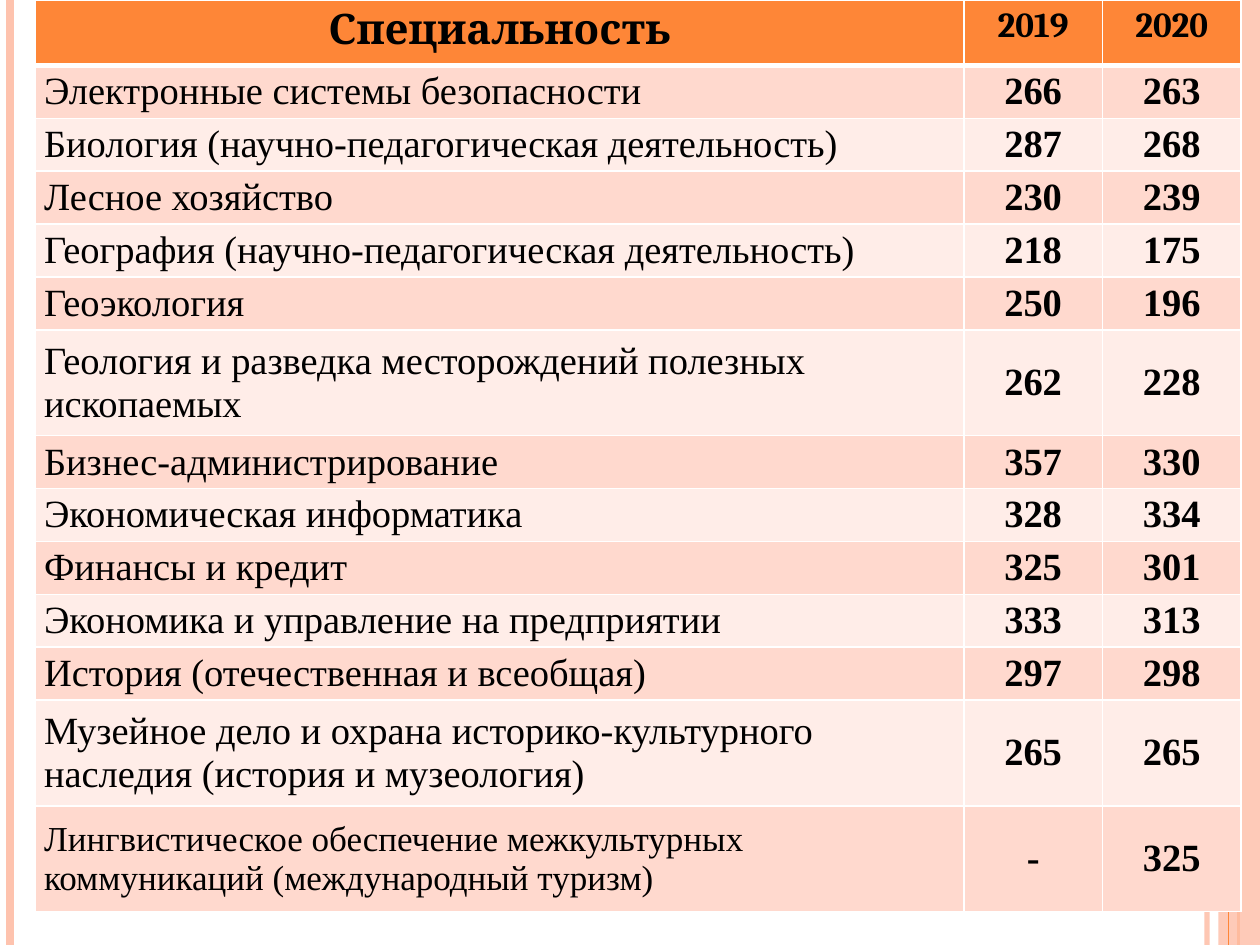
import pptx
import pptx.util
import pptx.dml.color
import pptx.enum.shapes
import pptx.enum.text
from lxml import etree

Inches, Pt = pptx.util.Inches, pptx.util.Pt
RGB = pptx.dml.color.RGBColor
ALIGN = pptx.enum.text.PP_ALIGN
ANCHOR = pptx.enum.text.MSO_ANCHOR

BLACK = RGB(0x00, 0x00, 0x00)
WHITE = RGB(0xFF, 0xFF, 0xFF)
ORANGE = RGB(0xFE, 0x86, 0x37)
PEACH = RGB(0xFE, 0xC3, 0xAE)
BANDS = (RGB(0xFF, 0xD9, 0xCE), RGB(0xFF, 0xED, 0xE8))

HEAD = (("Специальность", 24), ("2019", 20), ("2020", 20))
# name, 2019, 2020, lines of text, size of the name
ROWS = (
    ("Электронные системы безопасности", "266", "263", 1, 22),
    ("Биология (научно-педагогическая деятельность)", "287", "268", 1, 22),
    ("Лесное хозяйство", "230", "239", 1, 22),
    ("География (научно-педагогическая деятельность)", "218", "175", 1, 22),
    ("Геоэкология", "250", "196", 1, 22),
    ("Геология и разведка месторождений полезных ископаемых",
     "262", "228", 2, 22),
    ("Бизнес-администрирование", "357", "330", 1, 22),
    ("Экономическая информатика", "328", "334", 1, 22),
    ("Финансы и кредит", "325", "301", 1, 22),
    ("Экономика и управление на предприятии", "333", "313", 1, 22),
    ("История (отечественная и всеобщая)", "297", "298", 1, 22),
    ("Музейное дело и охрана историко-культурного наследия "
     "(история и музеология)", "265", "265", 2, 22),
    ("Лингвистическое обеспечение межкультурных коммуникаций "
     "(международный туризм)", "-", "325", 2, 20),
)
COLS = (7.37, 1.1, 1.1)
TOP, STEP = 0.52, 0.42
# x, colour, width, opacity in percent
BACK = ((9.58, PEACH, 3, 93), (0.08, PEACH, 4.5, 100), (9.83, ORANGE, 1.5, 100))
FRONT = ((9.75, ORANGE, 0.75, 100),)


def sub(node, tag, **attrs):
    return etree.SubElement(node, pptx.oxml.ns.qn(tag), attrs)


def fade(shape, part):
    """Make the shape's colour see-through, part being its opacity in percent."""
    tint = shape._element.spPr.find(".//" + pptx.oxml.ns.qn("a:srgbClr"))
    sub(tint, "a:alpha", val=str(part * 1000))


def stripe(slide, x, color, width, part):
    line = slide.shapes.add_connector(
        pptx.enum.shapes.MSO_CONNECTOR.STRAIGHT,
        Inches(x), 0, Inches(x), Inches(7.5))
    line.line.color.rgb = color
    line.line.width = Pt(width)
    if part < 100:
        fade(line, part)
    sub(line._element.spPr, "a:effectLst")


def border(cell, widths):
    """Draw white edges; widths are left, right, top, bottom in points."""
    props = cell._tc.get_or_add_tcPr()
    for side, width in zip("LRTB", widths):
        edge = sub(props, "a:ln" + side, w=str(Pt(width)))
        sub(sub(edge, "a:solidFill"), "a:srgbClr", val=str(WHITE))


def write(cell, text, font, size, bold, align):
    para = cell.text_frame.paragraphs[0]
    para.alignment = align
    run = para.add_run()
    run.text = text
    run.font.name = font
    run.font.size = Pt(size)
    run.font.bold = bold
    run.font.color.rgb = BLACK


def paint(cell, color):
    cell.fill.solid()
    cell.fill.fore_color.rgb = color


def main():
    deck = pptx.Presentation()
    deck.slide_width, deck.slide_height = Inches(10), Inches(7.5)
    slide = deck.slides.add_slide(deck.slide_layouts[6])

    for mark in BACK:
        stripe(slide, *mark)
    band = slide.shapes.add_shape(
        pptx.enum.shapes.MSO_SHAPE.RECTANGLE,
        Inches(9.67), 0, Inches(0.33), Inches(7.5))
    band.shadow.inherit = False
    band.fill.solid()
    band.fill.fore_color.rgb = PEACH
    band.line.fill.background()
    fade(band, 87)
    for mark in FRONT:
        stripe(slide, *mark)

    highs = [TOP] + [STEP * row[3] for row in ROWS]
    table = slide.shapes.add_table(
        len(highs), len(COLS), Inches(0.28), 0,
        Inches(sum(COLS)), Inches(sum(highs))).table
    for col, width in zip(table.columns, COLS):
        col.width = Inches(width)
    for row, high in zip(table.rows, highs):
        row.height = Inches(high)

    for c, (text, size) in enumerate(HEAD):
        cell = table.cell(0, c)
        border(cell, (1, 1, 1, 3))
        paint(cell, ORANGE)
        write(cell, text, "Cambria", size, True, ALIGN.CENTER)

    for r, (*texts, _, size) in enumerate(ROWS):
        for c, text in enumerate(texts):
            cell = table.cell(r + 1, c)
            border(cell, (1, 1, 1 if r else 3, 1))
            paint(cell, BANDS[r % 2])
            cell.vertical_anchor = ANCHOR.MIDDLE
            cell.margin_left = cell.margin_right = Inches(0.07)
            cell.margin_top = cell.margin_bottom = 0
            write(cell, text, "Times New Roman", 22 if c else size, c > 0,
                  ALIGN.CENTER if c else ALIGN.LEFT)

    deck.save("out.pptx")


if __name__ == "__main__":
    main()
